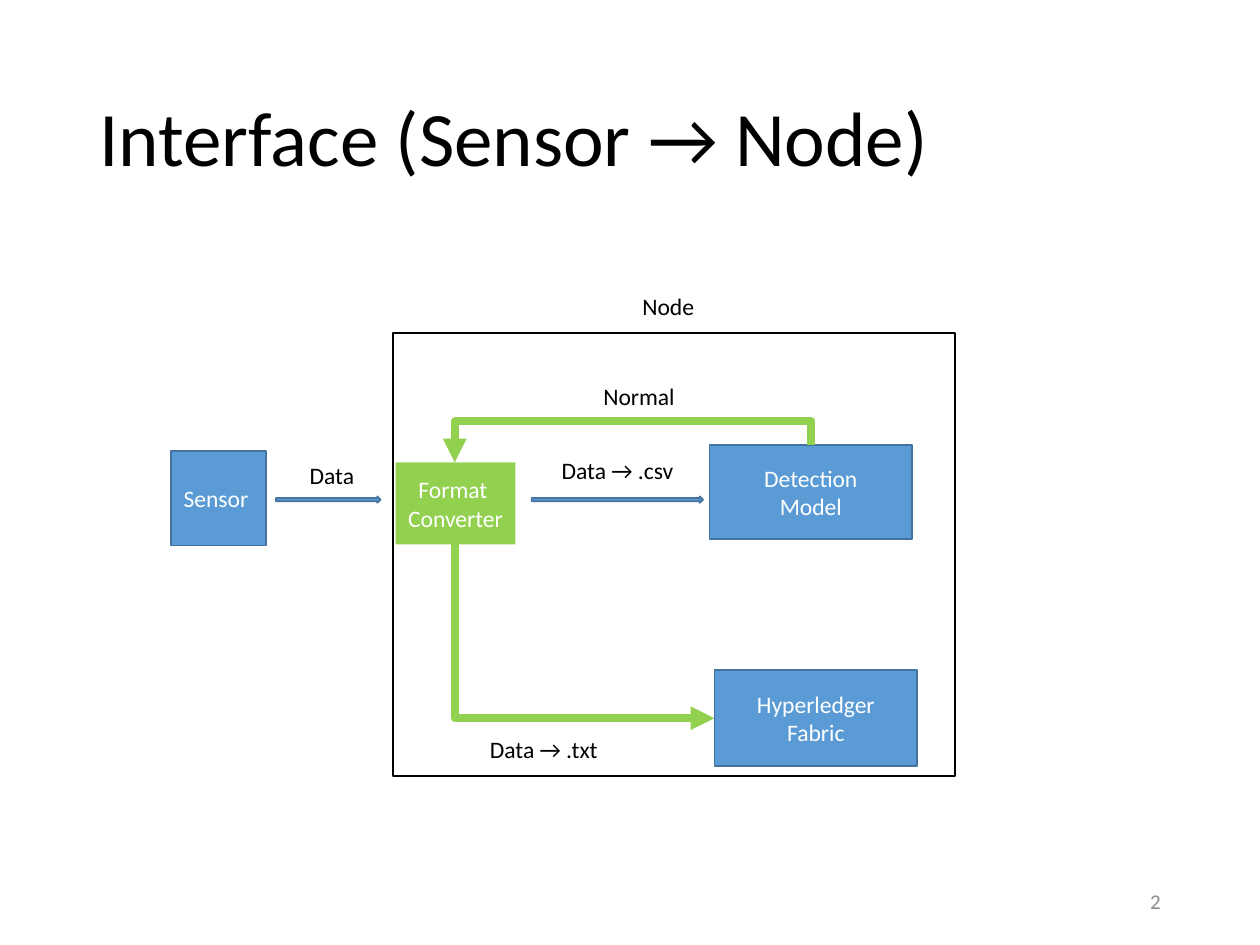
from dataclasses import dataclass

from lxml import etree
from pptx import Presentation
from pptx.dml.color import RGBColor
from pptx.enum.shapes import MSO_CONNECTOR, MSO_SHAPE
from pptx.enum.text import MSO_ANCHOR, MSO_AUTO_SIZE, PP_ALIGN
from pptx.oxml.ns import qn
from pptx.util import Inches, Pt

RECTANGLE = MSO_SHAPE.RECTANGLE
RIGHT_ARROW = MSO_SHAPE.RIGHT_ARROW
ELBOW = MSO_CONNECTOR.ELBOW
LEFT, CENTER, RIGHT = PP_ALIGN.LEFT, PP_ALIGN.CENTER, PP_ALIGN.RIGHT
MIDDLE = MSO_ANCHOR.MIDDLE
FIT_SHAPE = MSO_AUTO_SIZE.SHAPE_TO_FIT_TEXT
TITLE_ONLY = 5
TOP_SITE, LEFT_SITE, BOTTOM_SITE = 0, 1, 2  # connection sites of a rectangle

# The slide is a square grid of 100 columns by 75 rows
SLIDE_WIDTH, SLIDE_HEIGHT = Inches(10), Inches(7.5)
UNIT = SLIDE_WIDTH / 100


@dataclass(frozen=True)
class Theme:
    font: str = "Calibri"
    black: RGBColor = RGBColor(0x00, 0x00, 0x00)
    white: RGBColor = RGBColor(0xFF, 0xFF, 0xFF)
    blue: RGBColor = RGBColor(0x5B, 0x9B, 0xD5)
    blue_edge: RGBColor = RGBColor(0x43, 0x73, 0x9E)
    green: RGBColor = RGBColor(0x92, 0xD0, 0x50)
    gray: RGBColor = RGBColor(0x8C, 0x8C, 0x8C)
    title_size: float = 44
    text_size: float = 13.5
    number_size: float = 12
    thin: float = 1
    thick: float = 4.5


THEME = Theme()


def grid(*cells):
    """Turn grid columns and rows into slide lengths."""
    return [round(cell * UNIT) for cell in cells]


def write(frame, lines, size, color, align):
    """Put one paragraph per line into a text frame."""
    frame.text = "\n".join(lines)
    for para in frame.paragraphs:
        para.alignment = align
        para.font.name = THEME.font
        para.font.size = Pt(size)
        para.font.color.rgb = color


def add_title(page, text):
    title = page.shapes.title
    title.left, title.top, title.width, title.height = grid(6.9, 4, 86.2, 14.5)
    title.text_frame.vertical_anchor = MIDDLE
    write(title.text_frame, [text], THEME.title_size, THEME.black, LEFT)
    title.text_frame.paragraphs[0].line_spacing = 0.9


def add_figure(page, kind, area, fill=None, edge=None):
    """Add a preset shape; no colour means no fill or no outline."""
    figure = page.shapes.add_shape(kind, *grid(*area))
    figure.shadow.inherit = False
    if fill is None:
        figure.fill.background()
    else:
        figure.fill.solid()
        figure.fill.fore_color.rgb = fill
    if edge is None:
        figure.line.fill.background()
    else:
        figure.line.color.rgb = edge
        figure.line.width = Pt(THEME.thin)
    return figure


def add_block(page, area, lines, fill=THEME.blue, edge=THEME.blue_edge):
    block = add_figure(page, RECTANGLE, area, fill, edge)
    frame = block.text_frame
    frame.vertical_anchor = MIDDLE
    frame.margin_left = frame.margin_right = Inches(0.07)
    frame.margin_top = frame.margin_bottom = Inches(0.04)
    write(frame, lines, THEME.text_size, THEME.white, CENTER)
    return block


def add_label(page, left, top, width, text):
    box = page.shapes.add_textbox(*grid(left, top, width, 3.3))
    box.text_frame.word_wrap = False
    box.text_frame.auto_size = FIT_SHAPE
    write(box.text_frame, [text], THEME.text_size, THEME.black, LEFT)


def add_elbow(page, source, target, target_site, start, end, preset, bend=None):
    """Join two blocks by a green bent arrow that leaves its source vertically."""
    link = page.shapes.add_connector(ELBOW, 0, 0, 0, 0)
    link.begin_connect(source, TOP_SITE if bend is not None else BOTTOM_SITE)
    link.end_connect(target, target_site)

    # The geometry is turned by 270 degrees, so width and height swap
    (x1, y1), (x2, y2) = start, end
    width, height = abs(y2 - y1), abs(x2 - x1)
    link.left, link.top, link.width, link.height = grid(
        (x1 + x2 - width) / 2, (y1 + y2 - height) / 2, width, height)
    properties = link.element.spPr
    frame = properties.find(qn("a:xfrm"))
    frame.set("rot", str(270 * 60000))
    frame.set("flipH", "1")
    frame.set("flipV", "1" if x2 < x1 else "0")
    geometry = properties.find(qn("a:prstGeom"))
    geometry.set("prst", preset)
    if bend is not None:
        guides = geometry.get_or_add_avLst()
        etree.SubElement(guides, qn("a:gd"), name="adj1",
                         fmla=f"val {round(bend * 100000)}")

    # Line, arrowhead and no shadow
    link.line.color.rgb = THEME.green
    link.line.width = Pt(THEME.thick)
    outline = properties.find(qn("a:ln"))
    etree.SubElement(outline, qn("a:tailEnd"), type="triangle")
    etree.SubElement(properties, qn("a:effectLst"))


def add_page_number(page, number):
    box = page.shapes.add_textbox(*grid(70.6, 69.5, 22.5, 4))
    box.text_frame.word_wrap = True
    box.text_frame.vertical_anchor = MIDDLE
    write(box.text_frame, [number], THEME.number_size, THEME.gray, RIGHT)


def main():
    deck = Presentation()
    deck.slide_width, deck.slide_height = SLIDE_WIDTH, SLIDE_HEIGHT
    page = deck.slides.add_slide(deck.slide_layouts[TITLE_ONLY])
    add_title(page, "Interface (Sensor → Node)")

    # Processing blocks
    add_block(page, (13.6, 35.8, 7.5, 7.5), ["Sensor "])
    converter = add_block(page, (31.4, 36.7, 9.5, 6.5),
                          ["Format ", "Converter"], THEME.green, None)
    model = add_block(page, (56.3, 35.3, 16.1, 7.5), ["Detection", "Model"])
    ledger = add_block(page, (56.7, 53.2, 16.1, 7.6), ["Hyperledger", "Fabric"])

    # Data flow from left to right
    for left, width in ((21.9, 8.3), (42.2, 13.6)):
        add_figure(page, RIGHT_ARROW, (left, 39.4, width, 0.5),
                   THEME.blue, THEME.blue_edge)

    # Return path over the top, then the path down to the ledger
    add_elbow(page, model, converter, TOP_SITE, (64.4, 35.3), (36.1, 36.7),
              "bentConnector3", -1.33)
    add_elbow(page, converter, ledger, LEFT_SITE, (36.1, 43.2), (56.7, 57),
              "bentConnector2")

    # Node boundary
    add_figure(page, RECTANGLE, (31.2, 26.4, 44.6, 35.2), edge=THEME.black)

    # Labels: left, top, width, text
    for label in (
        (43.6, 35.7, 11.1, "Data → .csv"),
        (46.9, 29.8, 7.8, "Normal"),
        (37.9, 57.8, 10.8, "Data → .txt"),
        (50, 22.7, 6.2, "Node"),
        (23.6, 36.1, 5.6, "Data"),
    ):
        add_label(page, *label)

    add_page_number(page, "2")
    deck.save("out.pptx")


if __name__ == "__main__":
    main()
